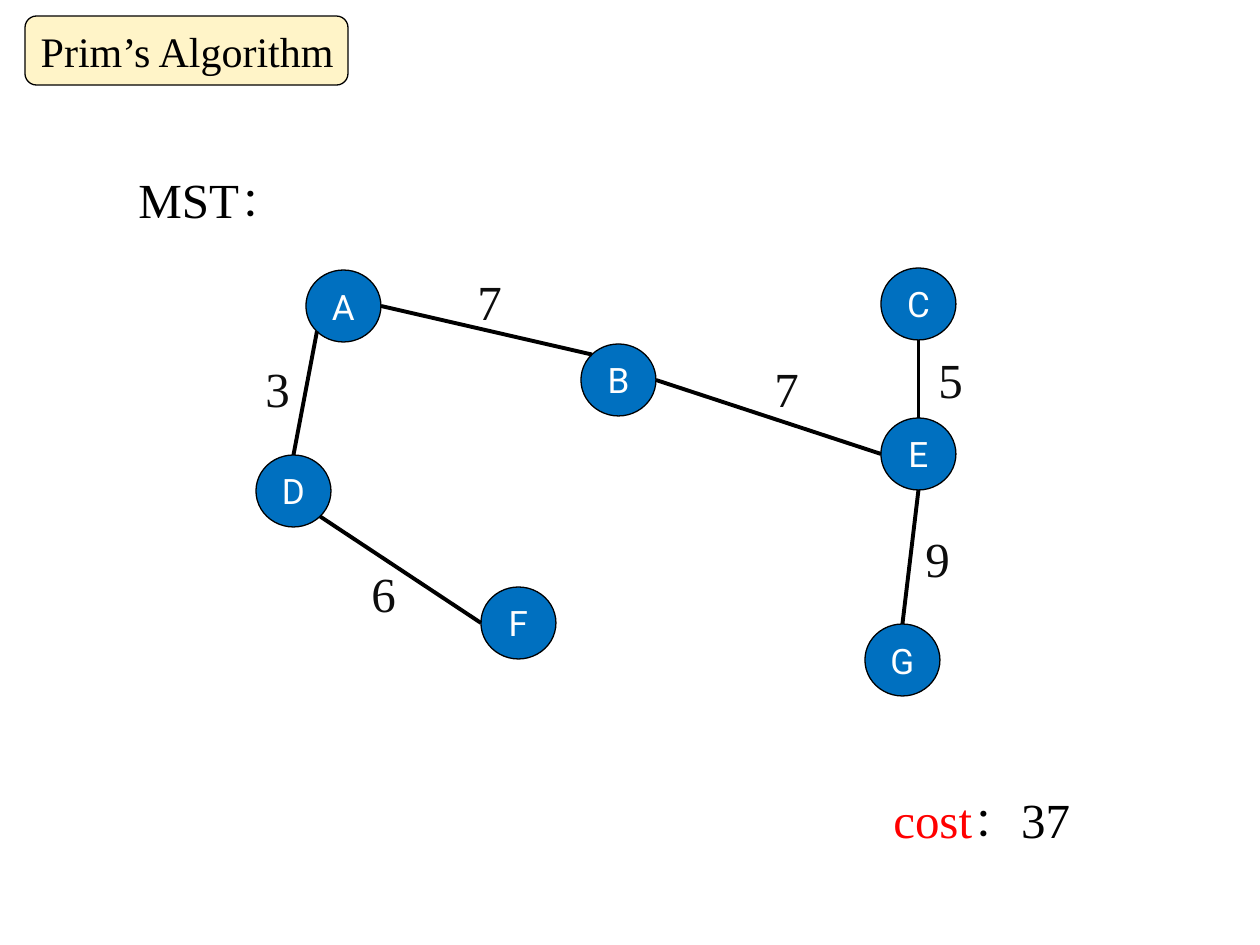
from math import cos, radians, sin

from pptx import Presentation
from pptx.dml.color import RGBColor
from pptx.enum.shapes import MSO_CONNECTOR as Line, MSO_SHAPE as Shape
from pptx.enum.text import MSO_ANCHOR as Anchor, PP_ALIGN as Align
from pptx.util import Emu, Pt
from lxml.etree import SubElement
from pptx.oxml.ns import qn

# Content: places in px, 126 to the inch
PX = 914400 // 126
SERIF, SANS = "Times New Roman", "Roboto"
BLACK, INK, RED, WHITE = "000000", "0D0D0D", "FF0000", "FFFFFF"
BLUE, CREAM = "0070C0", "FFF4C8"
NODE_W, NODE_H = 75, 72

nodes = {  # name: left, top
    "A": (306, 270), "E": (881, 418), "F": (481, 587), "G": (865, 624),
    "B": (581, 344), "C": (881, 268), "D": (256, 455),
}
# Angles, clockwise from the right, where an edge meets a node
RIGHT, LOWER_RIGHT, BOTTOM, LOWER_LEFT, LEFT, UPPER_LEFT, TOP = 0, 45, 90, 135, 180, 225, 270
edges = [  # start, its side, end, its side, weight, label left and top
    ("A", RIGHT, "B", UPPER_LEFT, 7, (465, 265)),
    ("A", LOWER_LEFT, "D", TOP, 3, (253, 352)),
    ("D", LOWER_RIGHT, "F", LEFT, 6, (359, 557)),
    ("E", BOTTOM, "G", TOP, 9, (913, 522)),
    ("C", BOTTOM, "E", TOP, 5, (926, 343)),
    ("B", RIGHT, "E", LEFT, 7, (762, 352)),
]
captions = [  # left, top, runs
    (126, 170, [("MST：", BLACK)]),
    (881, 790, [("cost", RED), ("：37", BLACK)]),
]

prs = Presentation()
prs.slide_width, prs.slide_height = Emu(1260 * PX), Emu(945 * PX)
shapes = prs.slides.add_slide(prs.slide_layouts[6]).shapes


def px(*lengths):
    return [Emu(round(length * PX)) for length in lengths]


def rgb(color):
    return RGBColor.from_string(color)


def write(shape, *runs, size=28, font=SERIF, align=Align.LEFT,
          anchor=Anchor.TOP, wrap=True, spacing=None):
    frame = shape.text_frame
    frame.word_wrap, frame.vertical_anchor = wrap, anchor
    paragraph = frame.paragraphs[0]
    paragraph.alignment, paragraph.line_spacing = align, spacing
    for text, color in runs:
        run = paragraph.add_run()
        run.text = text
        run.font.size, run.font.name = Pt(size), font
        run.font.color.rgb = rgb(color)
        SubElement(run.font._element, qn("a:ea")).set("typeface", font)


def outlined(kind, box, fill):
    shape = shapes.add_shape(kind, *px(*box))
    shape.shadow.inherit = False
    shape.fill.solid()
    shape.fill.fore_color.rgb = rgb(fill)
    shape.line.color.rgb, shape.line.width = rgb(BLACK), Pt(0.75)
    return shape


def rim(node, angle):
    left, top = nodes[node]
    turn = radians(angle)
    return (left + NODE_W / 2 * (1 + cos(turn)), top + NODE_H / 2 * (1 + sin(turn)))


# Title
title = outlined(Shape.ROUNDED_RECTANGLE, (25, 16, 323, 69), CREAM)
write(title, ("Prim’s Algorithm", BLACK), size=24, anchor=Anchor.MIDDLE, wrap=False)

# Nodes
for name, place in nodes.items():
    circle = outlined(Shape.FLOWCHART_CONNECTOR, (*place, NODE_W, NODE_H), BLUE)
    write(circle, (name, WHITE), size=20, font=SANS, align=Align.CENTER,
          anchor=Anchor.MIDDLE, wrap=False)

# Edges and their weights
for start, start_side, end, end_side, weight, place in edges:
    edge = shapes.add_connector(
        Line.STRAIGHT, *px(*rim(start, start_side), *rim(end, end_side)))
    edge.line.color.rgb, edge.line.width = rgb(BLACK), Pt(2.25)
    SubElement(edge._element.spPr, qn("a:effectLst"))
    write(shapes.add_textbox(*px(*place, 57, 72)), (str(weight), INK))

# Captions
for left, top, runs in captions:
    write(shapes.add_textbox(*px(left, top, 411, 65)), *runs, spacing=0.9)

prs.save("out.pptx")
